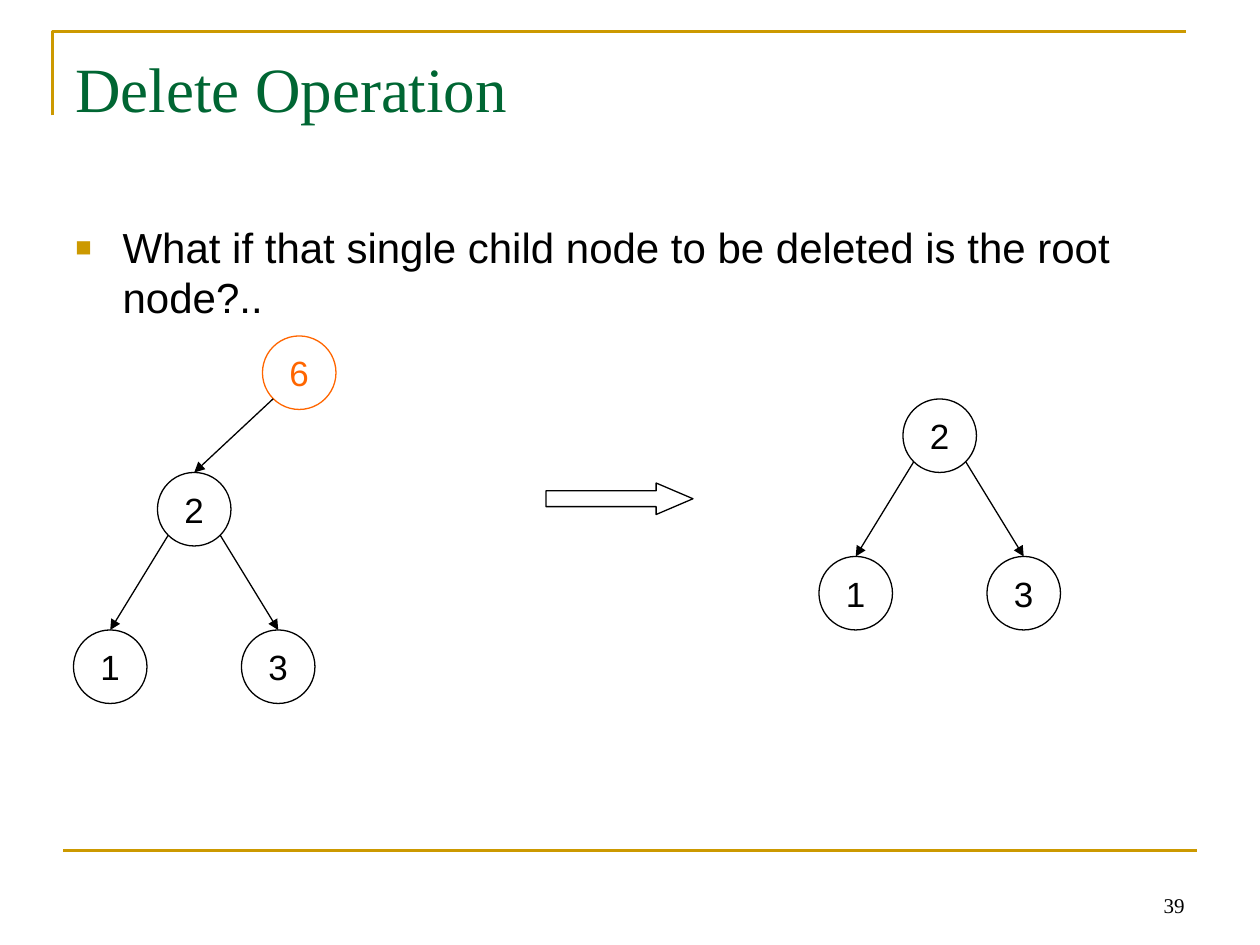
import math

import pptx
import pptx.dml.color
import pptx.enum.shapes
import pptx.enum.text
import pptx.oxml
import pptx.oxml.ns
import pptx.util

Pt = pptx.util.Pt
RGBColor = pptx.dml.color.RGBColor
MSO_SHAPE = pptx.enum.shapes.MSO_SHAPE
PP_ALIGN = pptx.enum.text.PP_ALIGN
MSO_ANCHOR = pptx.enum.text.MSO_ANCHOR

BLACK = RGBColor(0x00, 0x00, 0x00)
GOLD = RGBColor(0xCC, 0x99, 0x00)
GREEN = RGBColor(0x00, 0x66, 0x33)
ORANGE = RGBColor(0xFF, 0x66, 0x00)


class TreeSlide:
    """Draws binary trees and their captions on one slide, in points."""

    SANS = "Arial"
    SERIF = "Times New Roman"
    RADIUS = 21
    THIN = 0.75
    THICK = 1.5

    def __init__(self, slide):
        self.slide = slide
        self.shapes = slide.shapes

    def add_element(self, parent, tag, **attributes):
        element = pptx.oxml.parse_xml(f"<a:{tag} {pptx.oxml.ns.nsdecls('a')}/>")
        for name, value in attributes.items():
            element.set(name, str(value))
        parent.append(element)

    def outline(self, shape, color, width):
        shape.shadow.inherit = False
        shape.fill.background()
        shape.line.color.rgb = color
        shape.line.width = Pt(width)

    def style(self, paragraph, font, size, color, align):
        paragraph.alignment = align
        paragraph.font.name = font
        paragraph.font.size = Pt(size)
        paragraph.font.color.rgb = color

    def text(self, text, left, top, width, height, font, size, color,
             align=PP_ALIGN.LEFT, anchor=MSO_ANCHOR.TOP):
        box = self.shapes.add_textbox(Pt(left), Pt(top), Pt(width), Pt(height))
        frame = box.text_frame
        frame.word_wrap = True
        frame.vertical_anchor = anchor
        frame.text = text
        self.style(frame.paragraphs[0], font, size, color, align)
        return frame.paragraphs[0]

    def bullet(self, text, left, top, width, height):
        paragraph = self.text(text, left, top, width, height, self.SANS, 24, BLACK)
        properties = paragraph._p.get_or_add_pPr()
        properties.set("marL", str(Pt(27)))
        properties.set("indent", str(-Pt(27)))
        for element in properties.findall(pptx.oxml.ns.qn("a:defRPr")):
            properties.remove(element)
        color = pptx.oxml.parse_xml(
            f"<a:buClr {pptx.oxml.ns.nsdecls('a')}><a:srgbClr val='{GOLD}'/></a:buClr>")
        properties.append(color)
        self.add_element(properties, "buSzPct", val=65000)
        self.add_element(properties, "buFont", typeface=self.SANS)
        self.add_element(properties, "buChar", char="■")
        self.style(paragraph, self.SANS, 24, BLACK, PP_ALIGN.LEFT)

    def line(self, start, end, color=BLACK, width=THIN, arrow=False):
        connector = self.shapes.add_connector(
            pptx.enum.shapes.MSO_CONNECTOR.STRAIGHT,
            *(Pt(value) for value in (*start, *end)))
        connector.line.color.rgb = color
        connector.line.width = Pt(width)
        if arrow:
            self.add_element(connector.line._get_or_add_ln(), "tailEnd", type="triangle")
        self.add_element(connector._element.spPr, "effectLst")

    def corner(self, left, top, right, bottom):
        builder = self.shapes.build_freeform(Pt(left), Pt(bottom))
        builder.add_line_segments(
            [(Pt(left), Pt(top)), (Pt(right), Pt(top))], close=False)
        self.outline(builder.convert_to_shape(), GOLD, self.THICK)

    def node(self, label, center, color=BLACK):
        x, y = center
        size = Pt(2 * self.RADIUS)
        circle = self.shapes.add_shape(
            MSO_SHAPE.OVAL, Pt(x - self.RADIUS), Pt(y - self.RADIUS), size, size)
        self.outline(circle, color, self.THIN)
        frame = circle.text_frame
        frame.margin_left = frame.margin_right = 0
        frame.margin_top = frame.margin_bottom = 0
        frame.vertical_anchor = MSO_ANCHOR.MIDDLE
        frame.text = label
        self.style(frame.paragraphs[0], self.SANS, 20, color, PP_ALIGN.CENTER)

    def edge(self, parent, child):
        reach = self.RADIUS * math.sqrt(0.5)
        side = math.copysign(reach, child[0] - parent[0])
        self.line((parent[0] + side, parent[1] + reach),
                  (child[0], child[1] - self.RADIUS), arrow=True)

    def subtree(self, root):
        x, y = root
        self.node("2", root)
        for label, offset in (("1", -48), ("3", 48)):
            child = (x + offset, y + 90)
            self.node(label, child)
            self.edge(root, child)

    def block_arrow(self, left, top, width, height):
        arrow = self.shapes.add_shape(
            MSO_SHAPE.RIGHT_ARROW, Pt(left), Pt(top), Pt(width), Pt(height))
        arrow.adjustments[0] = 0.5
        arrow.adjustments[1] = 1.17
        self.outline(arrow, BLACK, self.THIN)


def main():
    presentation = pptx.Presentation()
    presentation.slide_width = Pt(720)
    presentation.slide_height = Pt(540)
    page = TreeSlide(presentation.slides.add_slide(presentation.slide_layouts[6]))

    page.corner(30, 18, 678, 66)
    page.line((36, 486), (684, 486), GOLD, page.THICK)
    page.text("39", 516, 492, 168, 36, page.SERIF, 12, BLACK,
              PP_ALIGN.RIGHT, MSO_ANCHOR.BOTTOM)
    page.text("Delete Operation", 36, 25, 648, 90, page.SERIF, 36, GREEN)
    page.bullet("What if that single child node to be deleted is the root node?..",
                36, 123, 648, 356)

    deleted_root, kept_root = (171, 213), (111, 291)
    page.node("6", deleted_root, ORANGE)
    page.subtree(kept_root)
    page.edge(deleted_root, kept_root)
    page.block_arrow(312, 276, 84, 18)
    page.subtree((537, 249))

    presentation.save("out.pptx")


if __name__ == "__main__":
    main()
